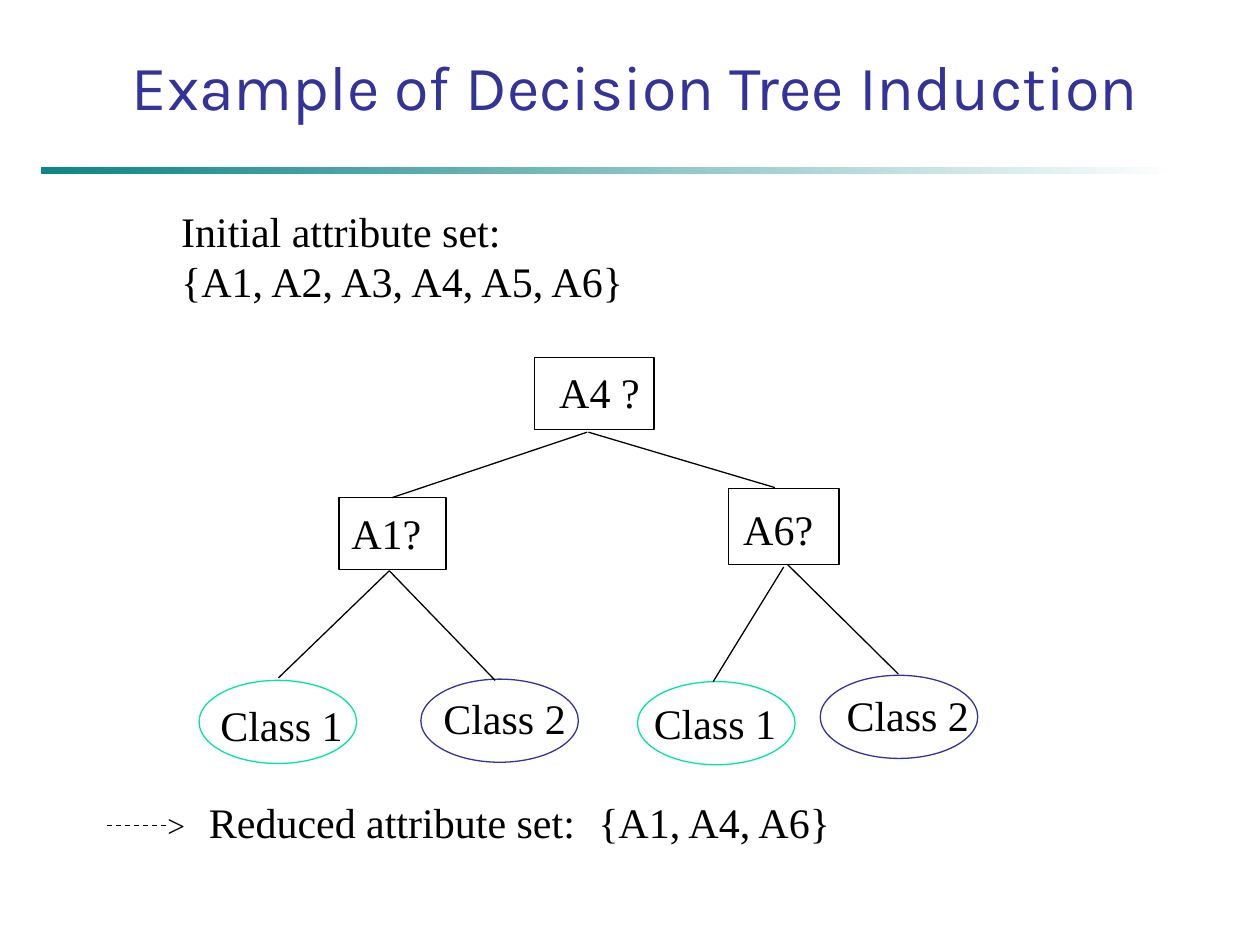
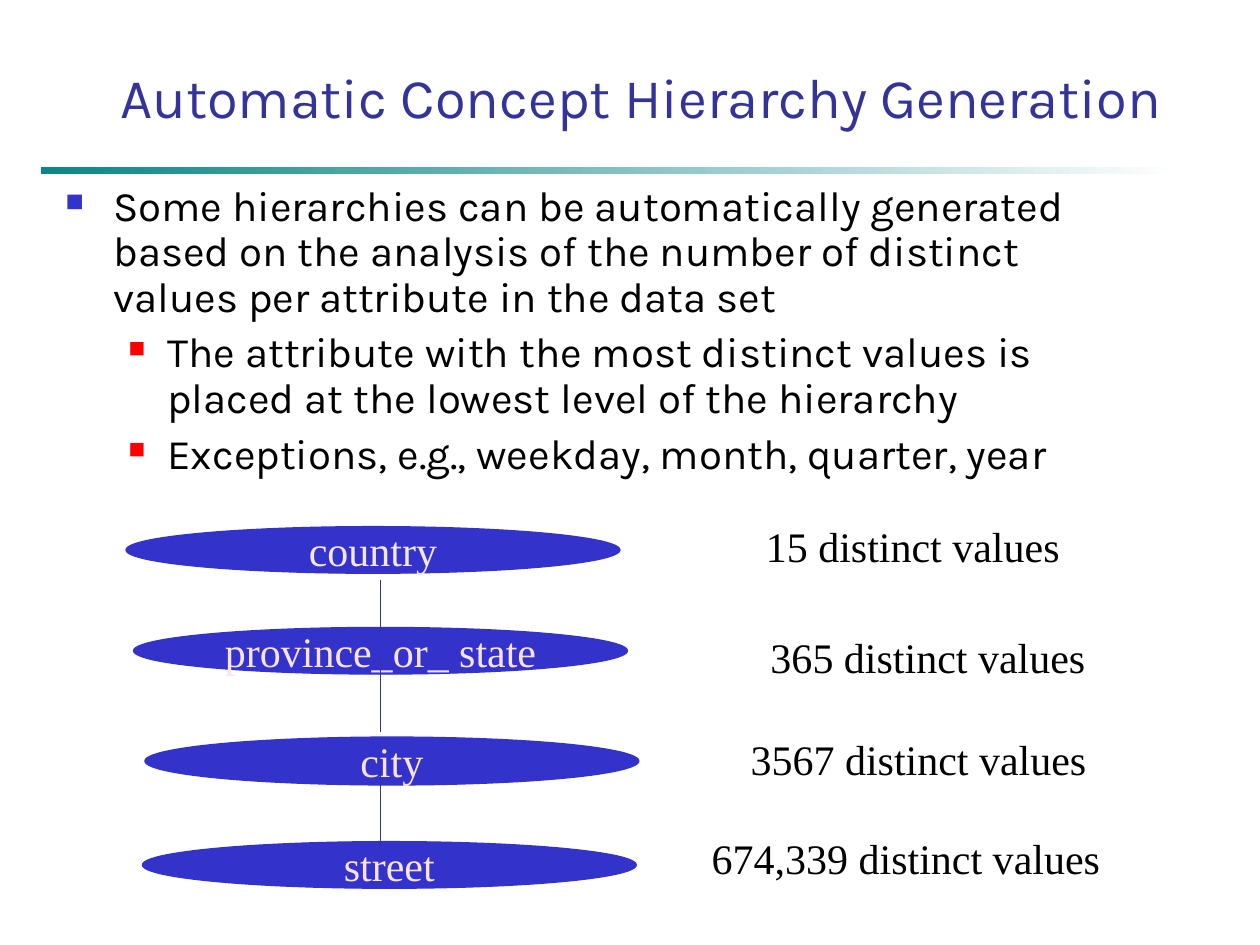
"""Build two slides on decision tree induction and concept hierarchies."""
from lxml.etree import SubElement
from pptx import Presentation
from pptx.dml.color import RGBColor
from pptx.enum.dml import MSO_LINE
from pptx.enum.shapes import MSO_CONNECTOR, MSO_SHAPE
from pptx.enum.text import MSO_ANCHOR, MSO_AUTO_SIZE, PP_ALIGN
from pptx.oxml.ns import qn
from pptx.util import Pt

SCALE = 9144
INK, NAVY, BLUE, MINT, RED = "000000", "333399", "3333CC", "00E4A8", "FF0000"
SERIF, SANS = "Times New Roman", "Karla"
LEFT, MID = PP_ALIGN.LEFT, PP_ALIGN.CENTER


def tint(code):
    """Turn a hex string into a colour."""
    return RGBColor.from_string(code)


def write(frame, text, align, color, **look):
    """Fill a text frame and format each of its runs."""
    frame.text = text
    for para in frame.paragraphs:
        para.alignment = align
        for run in para.runs:
            run.font.color.rgb = tint(color)
            for name, value in look.items():
                setattr(run.font, name, value)


deck = Presentation()
deck.slide_width, deck.slide_height = 1000 * SCALE, 750 * SCALE

heads = [
    ("Example of Decision Tree Induction", 36, (83, 33, 842, 130), MSO_ANCHOR.TOP),
    ("Automatic Concept Hierarchy Generation", 32, (83, 33, 852, 75), MSO_ANCHOR.BOTTOM),
]
for text, size, place, anchor in heads:
    slide = deck.slides.add_slide(deck.slide_layouts[5])
    title = slide.shapes.title
    title.left, title.top, title.width, title.height = [n * SCALE for n in place]
    frame = title.text_frame
    frame.auto_size = MSO_AUTO_SIZE.NONE
    frame.vertical_anchor = anchor
    write(frame, text, MID, NAVY, size=Pt(size), name=SANS)

    band = slide.shapes.add_shape(
        MSO_SHAPE.RECTANGLE, *[n * SCALE for n in (33, 133, 900, 5)])
    band.shadow.inherit = False
    band.line.fill.background()
    band.fill.gradient()
    band.fill.gradient_angle = 0
    for stop, code in zip(band.fill.gradient_stops, ("008080", "FFFFFF")):
        stop.color.rgb = tint(code)
    first = band.element.find(".//" + qn("a:srgbClr"))
    SubElement(first, qn("a:alpha"), val="95000")

tree, ranks = [slide.shapes for slide in deck.slides]

points = [
    (0, 38, 38, BLUE, 60, "Some hierarchies can be automatically generated based on "
     "the analysis of the number of distinct values per attribute in the data set"),
    (1, 81, 31, RED, 55, "The attribute with the most distinct values is placed at "
     "the lowest level of the hierarchy"),
    (1, 81, 31, RED, 55, "Exceptions, e.g., weekday, month, quarter, year"),
]
body = ranks.add_textbox(*[n * SCALE for n in (42, 142, 883, 250)]).text_frame
body.word_wrap = True
write(body, "\n".join(point[-1] for point in points), LEFT, INK, size=Pt(24), name=SANS)
for para, (level, margin, hang, code, size, text) in zip(body.paragraphs, points):
    para.level = level
    para.line_spacing = 0.9
    para.space_before = Pt(6)
    props = para._p.get_or_add_pPr()
    props.set("marL", str(margin * SCALE))
    props.set("indent", str(-hang * SCALE))
    SubElement(SubElement(props, qn("a:buClr")), qn("a:srgbClr"), val=code)
    SubElement(props, qn("a:buSzPct"), val=str(size * 1000))
    SubElement(props, qn("a:buChar"), char="■")

BOX, OVAL = MSO_SHAPE.RECTANGLE, MSO_SHAPE.OVAL
nodes = [
    (tree, BOX, (424, 284, 95, 57), INK, "", INK),
    (tree, BOX, (269, 395, 85, 57), INK, "", INK),
    (tree, BOX, (578, 388, 88, 60), INK, "", INK),
    (tree, OVAL, (158, 540, 125, 66), MINT, "", INK),
    (tree, OVAL, (334, 539, 125, 66), NAVY, "", INK),
    (tree, OVAL, (506, 541, 125, 66), MINT, "", INK),
    (tree, OVAL, (651, 536, 125, 66), NAVY, "", INK),
    (ranks, OVAL, (100, 418, 392, 37), BLUE, "country", "F6E6EA"),
    (ranks, OVAL, (106, 498, 392, 37), BLUE, "province_or_ state", "FAE2F6"),
    (ranks, OVAL, (115, 585, 392, 38), BLUE, "city", "FAE2F6"),
    (ranks, OVAL, (113, 668, 392, 37), BLUE, "street", "FAE2F6"),
]
for shapes, kind, place, edge, text, color in nodes:
    node = shapes.add_shape(kind, *[n * SCALE for n in place])
    node.shadow.inherit = False
    node.line.color.rgb = tint(edge)
    node.line.width = Pt(0.75)
    if text:
        node.fill.solid()
        node.fill.fore_color.rgb = tint(edge)
        node.text_frame.word_wrap = False
        node.text_frame.vertical_anchor = MSO_ANCHOR.MIDDLE
        write(node.text_frame, text, MID, color, size=Pt(24), name=SERIF)
    else:
        node.fill.background()

labels = [
    (tree, "Initial attribute set:\n{A1, A2, A3, A4, A5, A6}", (134, 158, 390, 90), 24, LEFT),
    (tree, "A4 ?", (434, 286, 97, 50), 24, LEFT),
    (tree, "A1?", (269, 398, 85, 50), 24, LEFT),
    (tree, "A6?", (580, 395, 85, 50), 24, LEFT),
    (tree, "Class 1", (165, 550, 125, 50), 24, LEFT),
    (tree, "Class 2", (342, 545, 125, 50), 24, LEFT),
    (tree, "Class 1", (509, 549, 125, 50), 24, LEFT),
    (tree, "Class 2", (662, 542, 125, 50), 24, LEFT),
    (tree, ">", (123, 635, 40, 40), 18, LEFT),
    (tree, "Reduced attribute set:\t{A1, A4, A6}", (156, 627, 525, 50), 24, LEFT),
    (ranks, "15 distinct values", (593, 408, 263, 50), 24, MID),
    (ranks, "365 distinct values", (600, 496, 273, 50), 24, MID),
    (ranks, "3567 distinct values", (579, 577, 300, 50), 24, MID),
    (ranks, "674,339 distinct values", (549, 656, 340, 50), 24, MID),
]
for shapes, text, place, size, align in labels:
    frame = shapes.add_textbox(*[n * SCALE for n in place]).text_frame
    frame.word_wrap = True
    frame.auto_size = MSO_AUTO_SIZE.SHAPE_TO_FIT_TEXT
    write(frame, text, align, INK, size=Pt(size), name=SERIF)
    if "\t" in text:
        tabs = SubElement(frame.paragraphs[0]._p.get_or_add_pPr(), qn("a:tabLst"))
        SubElement(tabs, qn("a:tab"), pos=str(309 * SCALE), algn="l")

links = [
    (tree, (466, 343, 311, 395), INK, None),
    (tree, (467, 343, 615, 387), INK, None),
    (tree, (309, 453, 221, 538), INK, None),
    (tree, (309, 453, 393, 540), INK, None),
    (tree, (622, 450, 566, 541), INK, None),
    (tree, (625, 448, 713, 535), INK, None),
    (tree, (85, 655, 133, 655), INK, MSO_LINE.DASH),
    (ranks, (302, 460, 302, 502), NAVY, None),
    (ranks, (302, 523, 302, 581), NAVY, None),
    (ranks, (302, 612, 302, 673), NAVY, None),
]
for shapes, ends, color, dash in links:
    link = shapes.add_connector(MSO_CONNECTOR.STRAIGHT, *[n * SCALE for n in ends])
    link.line.color.rgb = tint(color)
    link.line.width = Pt(0.75)
    link.line.dash_style = dash
    SubElement(link.element.spPr, qn("a:effectLst"))

deck.save("out.pptx")
